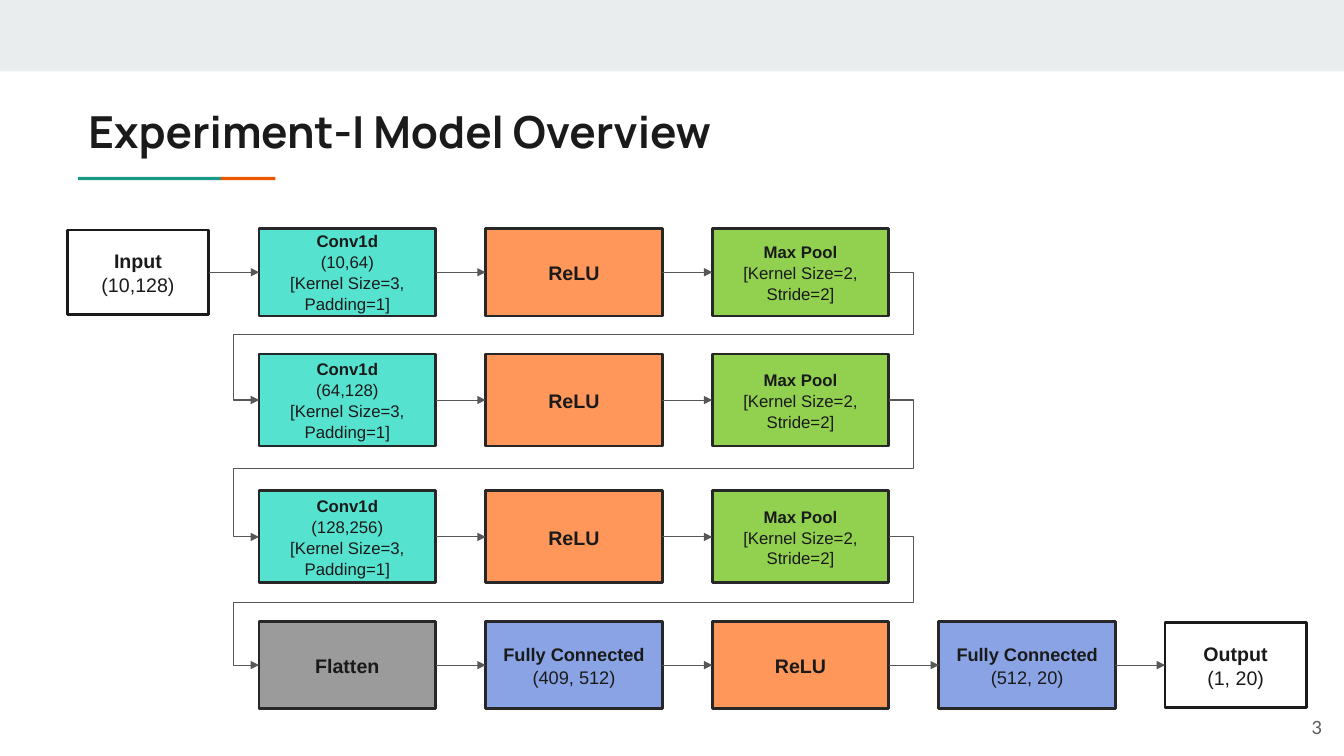
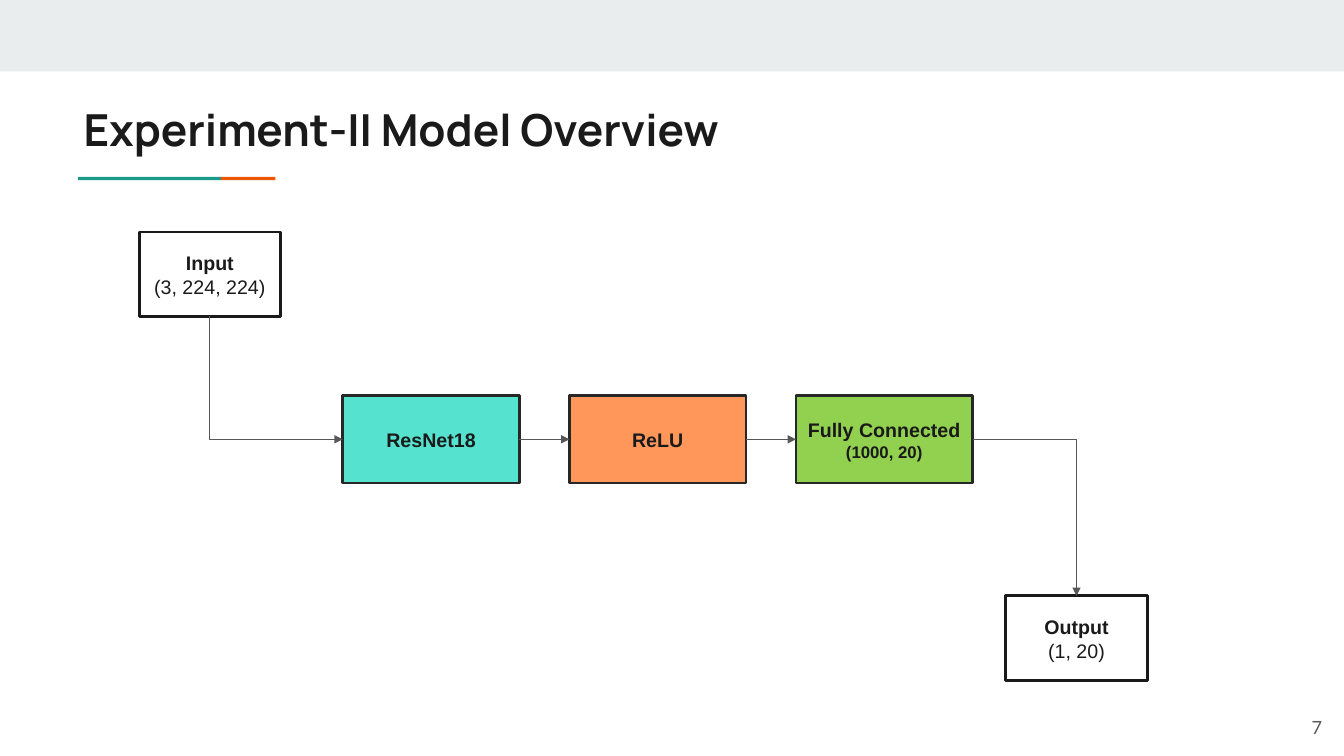
from lxml.etree import SubElement
from pptx import Presentation
from pptx.dml.color import RGBColor
from pptx.enum.shapes import MSO_CONNECTOR, MSO_SHAPE
from pptx.enum.text import MSO_ANCHOR, PP_ALIGN
from pptx.oxml.ns import qn
from pptx.util import Cm, Pt

# Colours
INK, OUTLINE, ARROW, NUMBER = "1A1A1A", "272727", "575757", "595959"
BAND, TEAL_RULE, ORANGE_RULE, WHITE = "E9EDEE", "1A9988", "EB5600", "FFFFFF"
TURQUOISE, ORANGE, GREEN, GREY, BLUE = "55E2CF", "FF965A", "92D050", "9B9B9B", "8AA3E4"

# Measures in centimetres
SLIDE_WIDTH, SLIDE_HEIGHT = 33.87, 19.05
LAYER_WIDTH, LAYER_HEIGHT, TALL_HEIGHT = 4.45, 2.21, 2.32
END_WIDTH, END_HEIGHT = 3.56, 2.13
COLUMN_STEP = 5.71
LANE_MARGIN = 0.64

# Connection sites of a rectangle
TOP, LEFT, BOTTOM, RIGHT = range(4)


def color(hex_string):
    return RGBColor.from_string(hex_string)


class Diagram:
    """Holds the deck style and the current slide."""

    def __init__(self):
        self.deck = Presentation()
        self.deck.slide_width = Cm(SLIDE_WIDTH)
        self.deck.slide_height = Cm(SLIDE_HEIGHT)
        self.page = None

    def start_page(self, title, number, left, top, width):
        self.page = self.deck.slides.add_slide(self.deck.slide_layouts[6])
        self.rectangle(0, 0, SLIDE_WIDTH, 1.8, BAND)
        self.rectangle(1.97, 4.46, 3.6, 0.08, TEAL_RULE)
        self.rectangle(5.57, 4.46, 1.37, 0.08, ORANGE_RULE)
        self.label(title, left, top, width, 1.98, "Manrope", 31.5, INK, bold=True)
        self.label(number, 31.62, 17.6, 2.03, 1.45, "Lato", 13, NUMBER,
                   align=PP_ALIGN.RIGHT, anchor=MSO_ANCHOR.MIDDLE)

    def rectangle(self, left, top, width, height, fill, outline=None):
        box = self.page.shapes.add_shape(
            MSO_SHAPE.RECTANGLE, Cm(left), Cm(top), Cm(width), Cm(height))
        box.shadow.inherit = False
        box.fill.solid()
        box.fill.fore_color.rgb = color(fill)
        if outline:
            box.line.color.rgb = color(outline)
            box.line.width = Pt(2)
        else:
            box.line.fill.background()
        return box

    def add_text(self, para, text, font, size, ink, bold):
        span = para.add_run()
        span.text = text
        span.font.name = font
        span.font.size = Pt(size)
        span.font.bold = bold
        span.font.color.rgb = color(ink)

    def label(self, text, left, top, width, height, font, size, ink,
              bold=False, align=PP_ALIGN.LEFT, anchor=MSO_ANCHOR.TOP):
        box = self.page.shapes.add_textbox(Cm(left), Cm(top), Cm(width), Cm(height))
        frame = box.text_frame
        frame.word_wrap = True
        frame.vertical_anchor = anchor
        frame.margin_left = frame.margin_right = Cm(0.33)
        frame.margin_top = frame.margin_bottom = Cm(0.33)
        para = frame.paragraphs[0]
        para.alignment = align
        self.add_text(para, text, font, size, ink, bold)

    def node(self, left, middle, width, height, fill, outline, lines):
        """Each line is (text, size, bold)."""
        box = self.rectangle(left, middle - height / 2, width, height, fill, outline)
        frame = box.text_frame
        frame.word_wrap = True
        frame.vertical_anchor = MSO_ANCHOR.MIDDLE
        for index, (text, size, bold) in enumerate(lines):
            para = frame.add_paragraph() if index else frame.paragraphs[0]
            para.alignment = PP_ALIGN.CENTER
            para.line_spacing = 1.04
            self.add_text(para, text, "Arial", size, INK, bold)
        return box

    def layer(self, left, middle, fill, lines, height=LAYER_HEIGHT):
        return self.node(left, middle, LAYER_WIDTH, height, fill, OUTLINE, lines)

    def endpoint(self, left, middle, name, shape):
        return self.node(left, middle, END_WIDTH, END_HEIGHT, WHITE, INK,
                         headed(14, name, shape))

    def arrow(self, start, end, start_site=RIGHT, end_site=LEFT,
              preset="line", adjustments=(), tip="a:tailEnd"):
        kind = MSO_CONNECTOR.STRAIGHT if preset == "line" else MSO_CONNECTOR.ELBOW
        link = self.page.shapes.add_connector(kind, 0, 0, 0, 0)
        link.begin_connect(start, start_site)
        link.end_connect(end, end_site)
        link.line.color.rgb = color(ARROW)
        link.line.width = Pt(0.75)
        properties = link.element.spPr
        geometry = properties.find(qn("a:prstGeom"))
        geometry.set("prst", preset)
        for index, share in enumerate(adjustments, 1):
            SubElement(geometry.find(qn("a:avLst")), qn("a:gd"),
                       name=f"adj{index}", fmla=f"val {round(share * 100000)}")
        SubElement(properties.find(qn("a:ln")), qn(tip), type="triangle")
        SubElement(properties, qn("a:effectLst"))

    def chain(self, boxes):
        for start, end in zip(boxes, boxes[1:]):
            self.arrow(start, end)

    def wrap_arrow(self, start, end):
        """Lead from the end of one row, through the gap, to the next row."""
        start_y = start.top + start.height / 2
        end_y = end.top + end.height / 2
        lane_y = (start.top + start.height + end.top) / 2
        margin = Cm(LANE_MARGIN) / (start.left + start.width - end.left)
        lane = (lane_y - start_y) / (end_y - start_y)
        self.arrow(start, end, preset="bentConnector5",
                   adjustments=(-margin, lane, 1 + margin))


def headed(size, heading, *details):
    return [(heading, size, True)] + [(text, size, False) for text in details]


def columns(first, count):
    return [first + COLUMN_STEP * index for index in range(count)]


def first_experiment(diagram):
    diagram.start_page("Experiment-I Model Overview", "3", 1.9, 2.31, 29.54)
    lefts = columns(6.53, 4)
    relu = headed(14, "ReLU")
    pool = headed(12, "Max Pool", "[Kernel Size=2,", "Stride=2]")

    # Convolution rows
    rows = []
    for middle, height, channels in ((6.86, LAYER_HEIGHT, "(10,64)"),
                                     (10.08, TALL_HEIGHT, "(64,128)"),
                                     (13.53, TALL_HEIGHT, "(128,256)")):
        conv = headed(12, "Conv1d", channels, "[Kernel Size=3,", "Padding=1]")
        parts = ((TURQUOISE, conv), (ORANGE, relu), (GREEN, pool))
        rows.append([diagram.layer(left, middle, fill, lines, height)
                     for left, (fill, lines) in zip(lefts, parts)])
    rows[0].insert(0, diagram.endpoint(1.7, 6.86, "Input", "(10,128)"))

    # Classifier row
    parts = ((GREY, headed(14, "Flatten")),
             (BLUE, headed(13, "Fully Connected", "(409, 512)")),
             (ORANGE, relu),
             (BLUE, headed(13, "Fully Connected", "(512, 20)")))
    classifier = [diagram.layer(left, 16.76, fill, lines)
                  for left, (fill, lines) in zip(lefts, parts)]
    classifier.append(diagram.endpoint(29.36, 16.76, "Output", "(1, 20)"))

    # Arrows within and between rows
    rows.append(classifier)
    for row in rows:
        diagram.chain(row)
    diagram.wrap_arrow(rows[0][-1], rows[1][0])
    diagram.wrap_arrow(rows[1][-1], rows[2][0])
    diagram.wrap_arrow(rows[2][-1], rows[3][0])


def second_experiment(diagram):
    diagram.start_page("Experiment-II Model Overview", "7", 1.78, 2.24, 28.47)

    # Layers
    parts = ((TURQUOISE, headed(14, "ResNet18")),
             (ORANGE, headed(14, "ReLU")),
             (GREEN, [("Fully Connected", 14, True), ("(1000, 20)", 12, True)]))
    layers = [diagram.layer(left, 11.07, fill, lines)
              for left, (fill, lines) in zip(columns(8.64, 3), parts)]
    diagram.chain(layers)

    # Input and output
    source = diagram.endpoint(3.51, 6.91, "Input", "(3, 224, 224)")
    result = diagram.endpoint(25.35, 16.08, "Output", "(1, 20)")
    diagram.arrow(layers[0], source, LEFT, BOTTOM, "bentConnector2", tip="a:headEnd")
    diagram.arrow(layers[-1], result, RIGHT, TOP, "bentConnector2")


def main():
    diagram = Diagram()
    first_experiment(diagram)
    second_experiment(diagram)
    diagram.deck.save("out.pptx")


if __name__ == "__main__":
    main()
